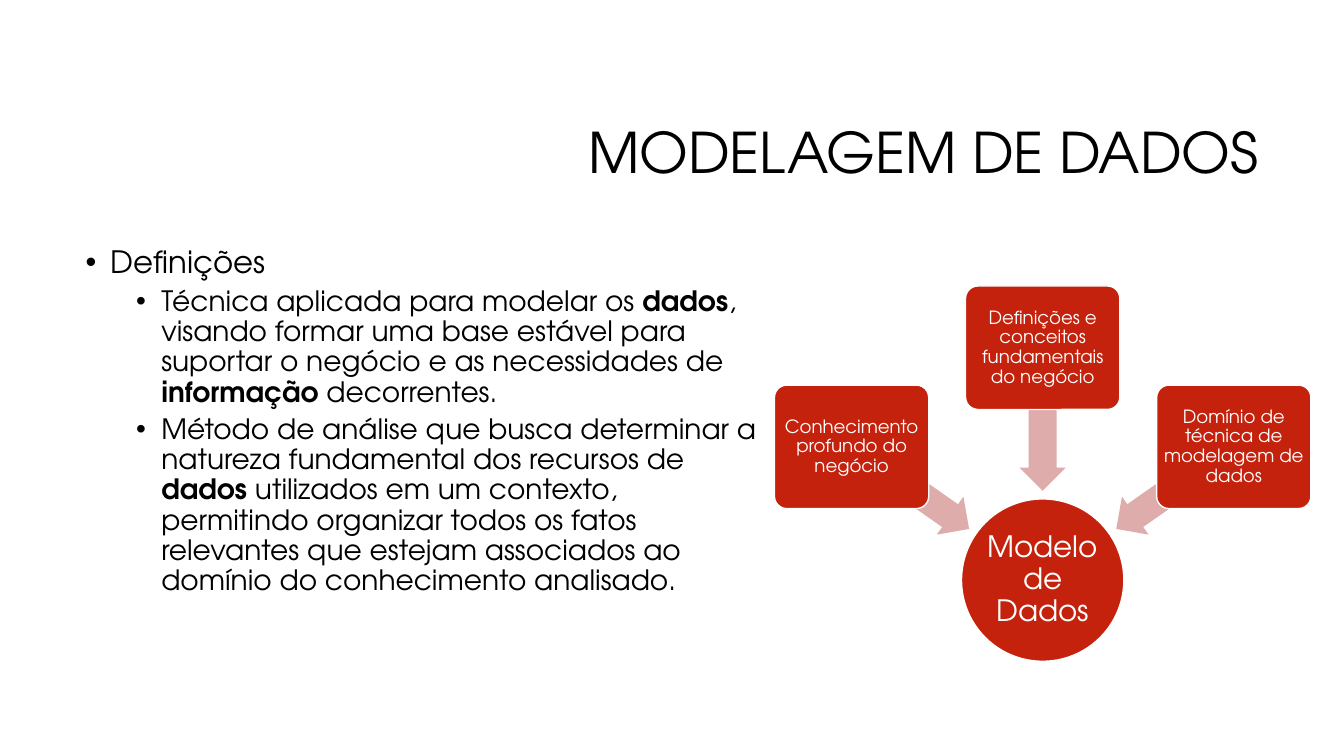
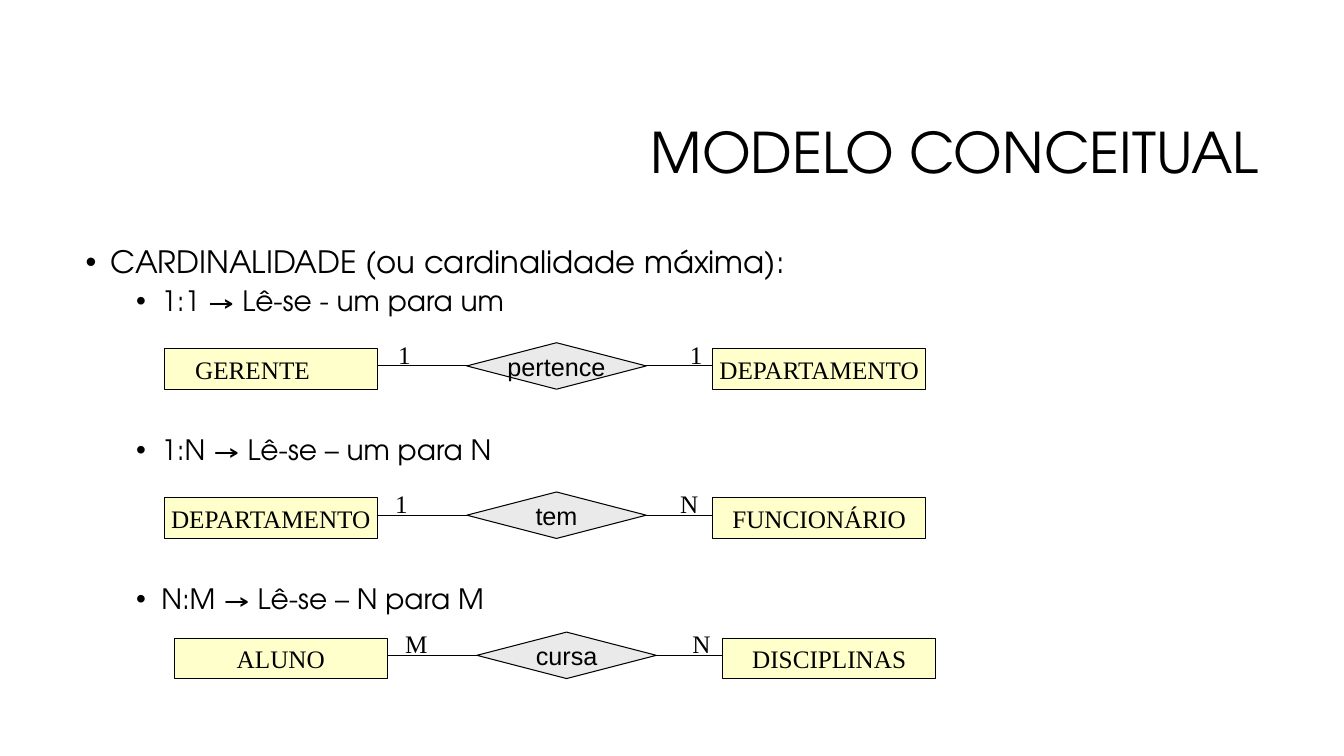
from dataclasses import dataclass

from lxml.etree import SubElement
from pptx import Presentation
from pptx.dml.color import RGBColor
from pptx.enum.shapes import MSO_CONNECTOR, MSO_SHAPE
from pptx.enum.text import MSO_ANCHOR, MSO_AUTO_SIZE, PP_ALIGN
from pptx.oxml.ns import qn
from pptx.util import Pt

HEAD_FONT, ENTITY_FONT, VERB_FONT = "TeX Gyre Adventor", "Times New Roman", "Arial"
BLACK, WHITE = "000000", "FFFFFF"
RED, PINK = "C4220D", "DEACAB"
YELLOW, GRAY = "FFFFCC", "EAEAEA"

BODY_LEFT, BODY_TOP = 54, 172.8
LINE_PITCH, ITEM_GAP = 21.6, 5


@dataclass
class Item:
    """A list entry; parts between asterisks are bold."""
    text: str
    level: int = 1
    before: float = ITEM_GAP


@dataclass
class Card:
    text: str
    dx: float
    y: float
    arrow_dx: float
    arrow_y: float
    angle: float


@dataclass
class Relation:
    x: float
    y: float
    left: str
    verb: str
    right: str
    left_max: str
    right_max: str
    left_dx: float
    right_dx: float


# Room for a diagram of three list lines above the item
DIAGRAM_GAP = ITEM_GAP + 3 * (LINE_PITCH + ITEM_GAP)

DEFINITIONS = [
    Item("Definições", 0, 10),
    Item("Técnica aplicada para modelar os *dados*, visando formar uma base estável "
         "para suportar o negócio e as necessidades de *informação* decorrentes."),
    Item("Método de análise que busca determinar a natureza fundamental dos recursos de "
         "*dados *utilizados em um contexto, permitindo organizar todos os fatos "
         "relevantes que estejam associados ao domínio do conhecimento analisado."),
]
CARDINALITIES = [
    Item("CARDINALIDADE (ou cardinalidade máxima):", 0, 10),
    Item("1:1 → Lê-se - um para um"),
    Item("1:N → Lê-se – um para N", before=DIAGRAM_GAP),
    Item("N:M → Lê-se – N para M", before=DIAGRAM_GAP),
]
CARDS = [
    Card("Conhecimento profundo do negócio", -136.5, 319.2, -94.4, 348.5, 215),
    Card("Definições e conceitos fundamentais do negócio", 0, 248.4, 0, 299.5, 270),
    Card("Domínio de técnica de modelagem de dados", 136.5, 319.2, 94.4, 348.5, 325),
]
RELATIONS = [
    Relation(117.4, 249.1, "GERENTE\t", "pertence", "DEPARTAMENTO", "1", "1", 160, 368.3),
    Relation(117.4, 355.7, "DEPARTAMENTO", "tem", "FUNCIONÁRIO", "1", "N", 157.7, 361.4),
    Relation(124.6, 455.8, "ALUNO", "cursa", "DISCIPLINAS", "M", "N", 157.7, 362.9),
]


def rgb(color: str) -> RGBColor:
    return RGBColor.from_string(color)


def add_text(p, text: str, *, size: float, font: str = HEAD_FONT, color: str = BLACK,
             align=None, spacing: float | None = None) -> None:
    if align is not None:
        p.alignment = align
    if spacing is not None:
        p.line_spacing = spacing
    for i, part in enumerate(text.split("*")):
        if not part:
            continue
        r = p.add_run()
        r.text = part
        r.font.name, r.font.size = font, Pt(size)
        r.font.bold = i % 2 == 1
        r.font.color.rgb = rgb(color)


def place(sp, left: float, top: float, width: float, height: float) -> None:
    sp.left, sp.top, sp.width, sp.height = Pt(left), Pt(top), Pt(width), Pt(height)


def set_bullet(p, indent: float) -> None:
    pPr = p._p.get_or_add_pPr()
    pPr.set("marL", str(Pt(indent)))
    pPr.set("indent", str(-Pt(18)))
    SubElement(pPr, qn("a:buFont")).set("typeface", "Arial")
    SubElement(pPr, qn("a:buChar")).set("char", "•")


def add_slide(prs, title: str, items: list[Item], body_width: float, body_height: float):
    s = prs.slides.add_slide(prs.slide_layouts[1])
    head, body = s.placeholders
    place(head, 228.25, 60.5, 678, 101.5)
    place(body, BODY_LEFT, BODY_TOP, body_width, body_height)
    for sp, anchor in ((head, MSO_ANCHOR.MIDDLE), (body, MSO_ANCHOR.TOP)):
        sp.text_frame.auto_size = MSO_AUTO_SIZE.NONE
        sp.text_frame.vertical_anchor = anchor
    add_text(head.text_frame.paragraphs[0], title, size=40, align=PP_ALIGN.RIGHT, spacing=0.9)

    tf = body.text_frame
    for i, item in enumerate(items):
        p = tf.add_paragraph() if i else tf.paragraphs[0]
        p.level = item.level
        p.space_before, p.space_after = Pt(item.before), Pt(0)
        add_text(p, item.text, size=20 if item.level else 22, align=PP_ALIGN.LEFT, spacing=0.9)
        set_bullet(p, 54 if item.level else 18)
    return s


def add_box(s, kind, left: float, top: float, width: float, height: float, *, fill: str,
            line: str | None = None, line_width: float = 0.75, text: str = "",
            margin: float = 0, wrap: bool = False, **fmt):
    sp = s.shapes.add_shape(kind, Pt(left), Pt(top), Pt(width), Pt(height))
    sp.shadow.inherit = False
    sp.fill.solid()
    sp.fill.fore_color.rgb = rgb(fill)
    if line:
        sp.line.color.rgb = rgb(line)
        sp.line.width = Pt(line_width)
    else:
        sp.line.fill.background()
    if text:
        tf = sp.text_frame
        tf.word_wrap = wrap
        tf.vertical_anchor = MSO_ANCHOR.MIDDLE
        tf.margin_left = tf.margin_right = tf.margin_top = tf.margin_bottom = Pt(margin)
        add_text(tf.paragraphs[0], text, align=PP_ALIGN.CENTER, **fmt)
    return sp


def add_line(s, x1: float, x2: float, y: float) -> None:
    c = s.shapes.add_connector(MSO_CONNECTOR.STRAIGHT, Pt(x1), Pt(y), Pt(x2), Pt(y))
    c.line.color.rgb = rgb(BLACK)
    c.line.width = Pt(0.75)
    SubElement(c._element.spPr, qn("a:effectLst"))


def add_label(s, text: str, left: float, top: float) -> None:
    sp = s.shapes.add_textbox(Pt(left), Pt(top), Pt(103.7), Pt(28.8))
    sp.text_frame.word_wrap = True
    add_text(sp.text_frame.paragraphs[0], text, size=18, font=ENTITY_FONT)


def draw_model(s) -> None:
    """Cards whose arrows converge on the central circle."""
    cx, cy, diameter = 744.8, 414.4, 116
    card_w, card_h = 110.2, 88.2
    arrow_w, arrow_h = 102.2, 33.1
    look = dict(fill=RED, line=WHITE, line_width=1, color=WHITE, spacing=0.9, wrap=True)
    add_box(s, MSO_SHAPE.OVAL, cx - diameter / 2, cy - diameter / 2, diameter, diameter,
            text="Modelo de Dados", size=21, margin=0.7, **look)
    for card in CARDS:
        arrow = add_box(s, MSO_SHAPE.LEFT_ARROW, cx + card.arrow_dx - arrow_w / 2,
                        card.arrow_y - arrow_h / 2, arrow_w, arrow_h, fill=PINK)
        arrow.adjustments[0], arrow.adjustments[1] = 0.6, 0.5
        arrow.rotation = card.angle
        sp = add_box(s, MSO_SHAPE.ROUNDED_RECTANGLE, cx + card.dx - card_w / 2,
                     card.y - card_h / 2, card_w, card_h,
                     text=card.text, size=13, margin=1.8, **look)
        sp.adjustments[0] = 0.1


def draw_relation(s, rel: Relation) -> None:
    """Two entities joined through a diamond, with their cardinalities."""
    right_dx, entity_w, entity_h = 391.7, 152, 29
    add_line(s, rel.x + entity_w, rel.x + right_dx, rel.y + 12.3)
    for text, dx in ((rel.left, 0), (rel.right, right_dx)):
        add_box(s, MSO_SHAPE.RECTANGLE, rel.x + dx, rel.y, entity_w, entity_h,
                fill=YELLOW, line=BLACK, text=text, size=18, font=ENTITY_FONT)
    add_box(s, MSO_SHAPE.DIAMOND, rel.x + 216, rel.y - 4.3, 128.2, 33.2,
            fill=GRAY, line=BLACK, text=rel.verb, size=18, font=VERB_FONT)
    for text, dx in ((rel.left_max, rel.left_dx), (rel.right_max, rel.right_dx)):
        add_label(s, text, rel.x + dx, rel.y - 10.4)


def main() -> None:
    prs = Presentation()
    prs.slide_width, prs.slide_height = Pt(960), Pt(540)
    draw_model(add_slide(prs, "MODELAGEM DE DADOS", DEFINITIONS, 497.5, 344.2))
    s = add_slide(prs, "MODELO CONCEITUAL", CARDINALITIES, 851.8, 334.8)
    for rel in RELATIONS:
        draw_relation(s, rel)
    prs.save("out.pptx")


if __name__ == "__main__":
    main()
